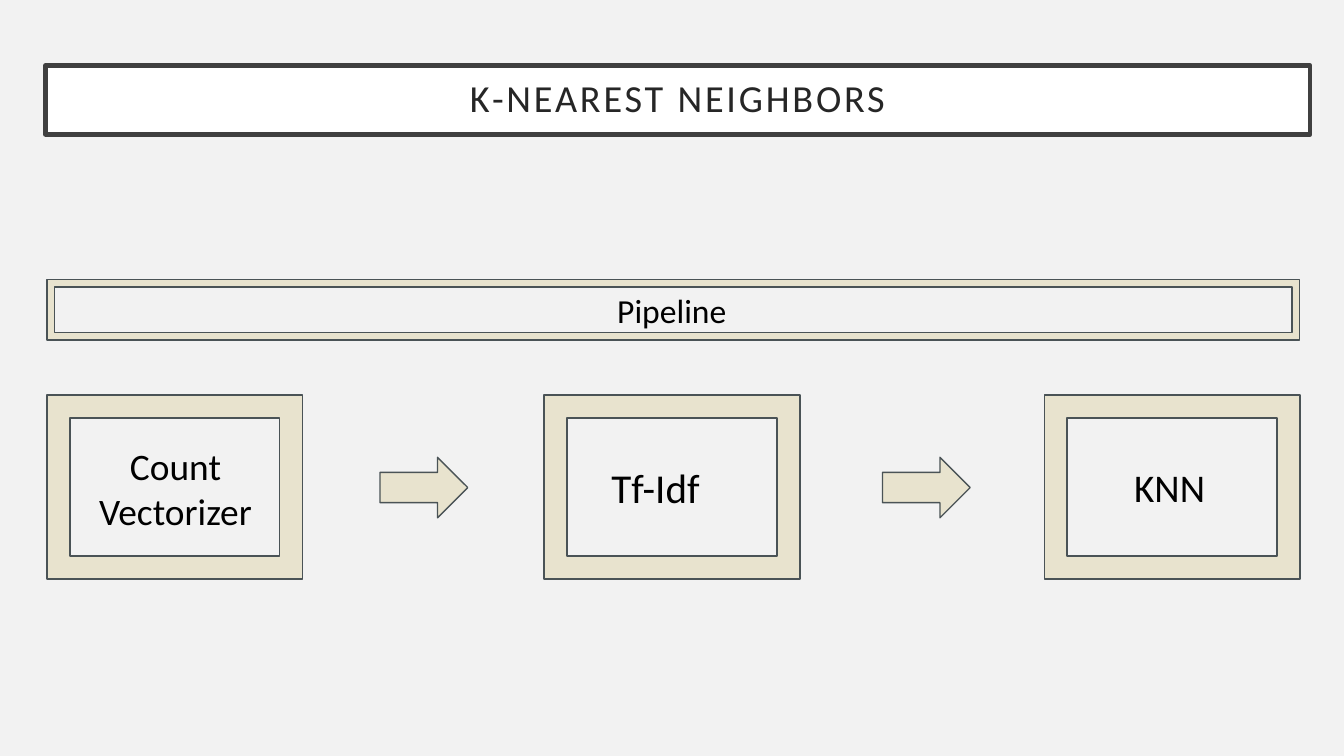
from pptx import Presentation
from pptx.dml.color import RGBColor
from pptx.enum.shapes import MSO_SHAPE
from pptx.enum.text import MSO_ANCHOR, PP_ALIGN
from pptx.util import Pt

COLORS = {
    "background": "F2F2F2",
    "sand": "E8E3CE",
    "outline": "4A5356",
    "title_fill": "FFFFFF",
    "title_line": "404040",
    "title_text": "262626",
    "text": "000000",
}


def add_shape(kind, left, top, width, height, fill="sand", line="outline", line_width=0.75):
    shape = slide.shapes.add_shape(kind, Pt(left), Pt(top), Pt(width), Pt(height))
    shape.shadow.inherit = False
    shape.fill.solid()
    shape.fill.fore_color.rgb = RGBColor.from_string(COLORS[fill])
    shape.line.color.rgb = RGBColor.from_string(COLORS[line])
    shape.line.width = Pt(line_width)
    return shape


def write_text(shape, text, size, color="text", align=PP_ALIGN.CENTER, line_spacing=None, tracking=None):
    frame = shape.text_frame
    frame.word_wrap = True
    frame.vertical_anchor = MSO_ANCHOR.MIDDLE
    frame.margin_left = frame.margin_right = Pt(7.2)
    frame.margin_top = frame.margin_bottom = Pt(7.2)
    paragraph = frame.paragraphs[0]
    paragraph.alignment = align
    if line_spacing:
        paragraph.line_spacing = line_spacing
    run = paragraph.add_run()
    run.text = text
    run.font.name = "Calibri"
    run.font.size = Pt(size)
    run.font.color.rgb = RGBColor.from_string(COLORS[color])
    if tracking:
        run._r.get_or_add_rPr().set("spc", str(int(tracking * 100)))


presentation = Presentation()
presentation.slide_width = Pt(720)
presentation.slide_height = Pt(405)
slide = presentation.slides.add_slide(presentation.slide_layouts[6])
slide.background.fill.solid()
slide.background.fill.fore_color.rgb = RGBColor.from_string(COLORS["background"])

# Title
title = add_shape(MSO_SHAPE.RECTANGLE, 24.4, 35.2, 677.4, 36.8,
                  fill="title_fill", line="title_line", line_width=2.5)
write_text(title, "K-NEAREST NEIGHBORS", 20.5, color="title_text", line_spacing=0.9, tracking=1.5)

# Frames: the pipeline bar and its three steps
frames = [(25.2, 149.8, 671, 32.4)]
frames += [(left, 211.7, 137, 98.6) for left in (25.2, 291.5, 559.4)]
for box in frames:
    frame_shape = add_shape(MSO_SHAPE.FRAME, *box)
    frame_shape.adjustments[0] = 0.125

# Arrows between the steps
for left in (203.6, 472.8):
    add_shape(MSO_SHAPE.RIGHT_ARROW, left, 245, 47, 32.4)

# Labels
labels = [
    ("Pipeline", 18, PP_ALIGN.CENTER, (307.4, 148.3, 105.1, 35.3)),
    ("Count Vectorizer", 20, PP_ALIGN.CENTER, (41.5, 226.1, 105.1, 70.6)),
    ("Tf-Idf", 22, PP_ALIGN.LEFT, (320.4, 239.8, 82.8, 42.5)),
    ("KNN", 21, PP_ALIGN.CENTER, (589.5, 239.8, 74.2, 42.5)),
]
for text, size, align, box in labels:
    label = slide.shapes.add_textbox(*[Pt(length) for length in box])
    write_text(label, text, size, align=align)

presentation.save("out.pptx")
